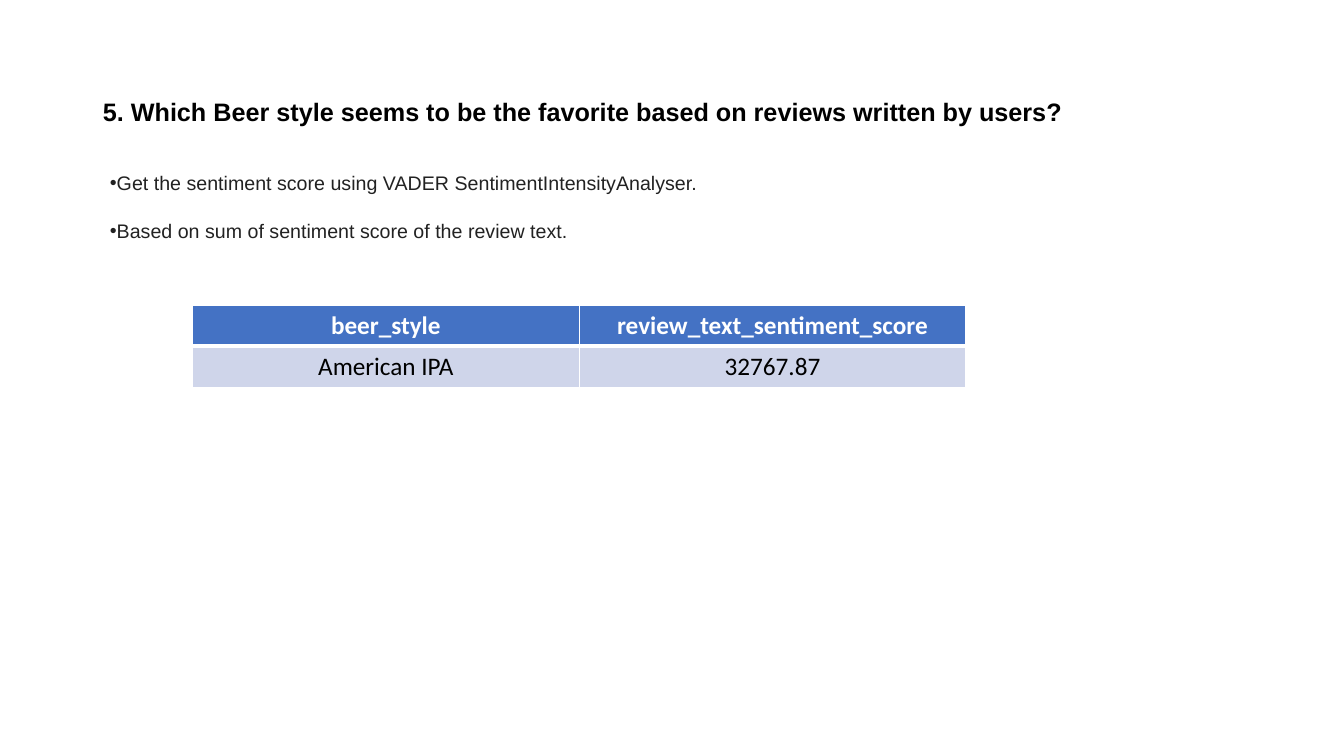
from dataclasses import dataclass
from lxml.etree import SubElement
from pptx import Presentation
from pptx.dml.color import RGBColor
from pptx.enum.text import MSO_ANCHOR, MSO_AUTO_SIZE, PP_ALIGN
from pptx.oxml import parse_xml
from pptx.oxml.ns import nsdecls, qn
from pptx.util import Inches, Pt


@dataclass
class Theme:
    black: str = "000000"
    white: str = "FFFFFF"
    ink: str = "222222"
    head: str = "4472C4"
    band: str = "CFD5EA"
    big: int = 18
    small: int = 14
    sans: str = "Arial"
    grid: str = "Calibri"


theme = Theme()


def write(para, text, size=theme.big, font=theme.sans, color=theme.black,
          bold=False, align=PP_ALIGN.LEFT, line=1.0, before=0):
    para.alignment = align
    para.line_spacing = line
    para.space_before = Pt(before)
    run = para.add_run()
    run.text = text
    run.font.size = Pt(size)
    run.font.name = font
    run.font.bold = bold
    run.font.color.rgb = RGBColor.from_string(color)


def edge(cell, widths):
    props = cell._tc.get_or_add_tcPr()
    for spot, (side, width) in enumerate(widths.items()):
        props.insert(spot, parse_xml(
            f'<a:{side} {nsdecls("a")} w="{Pt(width)}"><a:solidFill>'
            f'<a:srgbClr val="{theme.white}"/></a:solidFill></a:{side}>'))


deck = Presentation()
deck.slide_width = Inches(13.33)
deck.slide_height = Inches(7.5)
slide = deck.slides.add_slide(deck.slide_layouts[1])
title, body = slide.placeholders

places = [
    (title, (0.92, 0.4, 11.5, 1.45), MSO_ANCHOR.MIDDLE),
    (body, (0.99, 1.65, 10.73, 0.81), MSO_ANCHOR.TOP),
]
for shape, box, anchor in places:
    shape.left, shape.top, shape.width, shape.height = map(Inches, box)
    frame = shape.text_frame
    frame.word_wrap = True
    frame.auto_size = MSO_AUTO_SIZE.NONE
    frame.vertical_anchor = anchor

write(title.text_frame.paragraphs[0],
      "5. Which Beer style seems to be the favorite based on reviews written by users?",
      bold=True, line=0.9)

points = [
    "Get the sentiment score using VADER SentimentIntensityAnalyser.",
    "Based on sum of sentiment score of the review text.",
]
frame = body.text_frame
for index, point in enumerate(points):
    para = frame.add_paragraph() if index else frame.paragraphs[0]
    write(para, point, size=theme.small, color=theme.ink,
          before=17.5 if index else 0)
    props = para._p.get_or_add_pPr()
    props.set("marL", "0")
    props.set("indent", "0")
    SubElement(props, qn("a:buFont"), typeface=theme.sans)
    SubElement(props, qn("a:buChar"), char="•")

rows = [
    ("beer_style", "review_text_sentiment_score"),
    ("American IPA", "32767.87"),
]
looks = [(theme.head, theme.white, True), (theme.band, theme.black, False)]
table = slide.shapes.add_table(
    len(rows), len(rows[0]), Inches(1.91), Inches(3.03),
    Inches(7.67), Inches(0.81)).table

for level, (row, (fill, color, bold)) in enumerate(zip(rows, looks)):
    for col, text in enumerate(row):
        cell = table.cell(level, col)
        cell.vertical_anchor = MSO_ANCHOR.MIDDLE
        cell.fill.solid()
        cell.fill.fore_color.rgb = RGBColor.from_string(fill)
        edge(cell, {"lnL": 1, "lnR": 1, "lnT": 3 if level else 1,
                    "lnB": 1 if level else 3})
        write(cell.text_frame.paragraphs[0], text, font=theme.grid,
              color=color, bold=bold, align=PP_ALIGN.CENTER)

deck.save("out.pptx")
